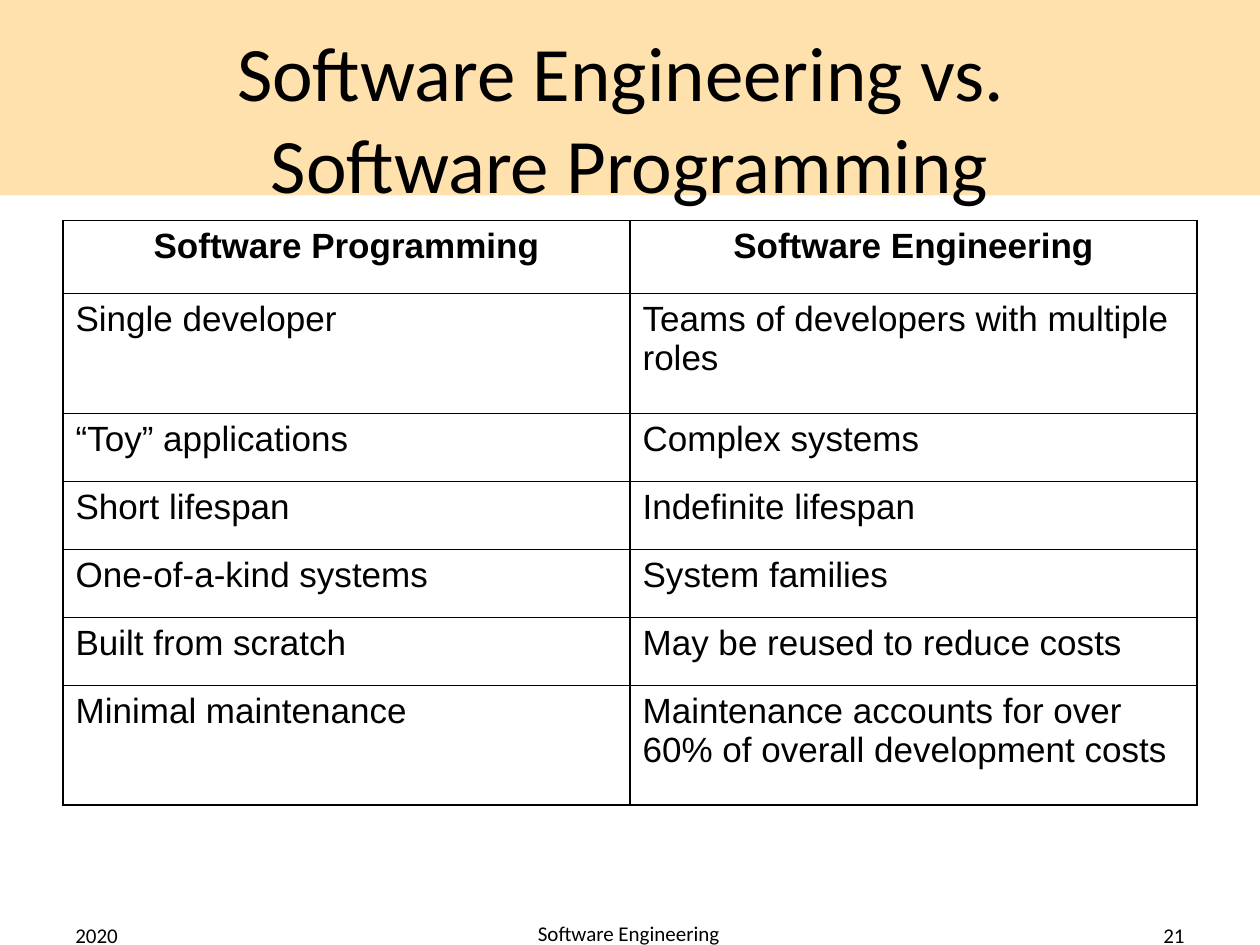
from dataclasses import dataclass

from lxml.etree import SubElement
from pptx import Presentation
from pptx.dml.color import RGBColor
from pptx.enum.shapes import MSO_SHAPE
from pptx.enum.text import MSO_ANCHOR as Anchor, MSO_AUTO_SIZE as AutoSize, PP_ALIGN as Align
from pptx.oxml.ns import qn
from pptx.util import Inches, Pt


@dataclass(frozen=True)
class Theme:
    ink: str = "000000"
    band: str = "FFE1AD"
    heading_font: str = "Calibri"
    table_font: str = "Arial"
    title_size: int = 44
    table_size: int = 20
    footer_size: int = 12
    border_width: int = 1


THEME = Theme()
TITLE = "Software Engineering vs. \vSoftware Programming"
COMPARISON = [
    ("Software Programming", "Software Engineering"),
    ("Single developer", "Teams of developers with multiple roles"),
    ("“Toy” applications", "Complex systems"),
    ("Short lifespan", "Indefinite lifespan"),
    ("One-of-a-kind systems", "System families"),
    ("Built from scratch", "May be reused to reduce costs"),
    ("Minimal maintenance", "Maintenance accounts for over 60% of overall development costs"),
]
HEADER_HEIGHT, SINGLE_HEIGHT, DOUBLE_HEIGHT = 0.58, 0.54, 0.95
ROW_HEIGHTS = [HEADER_HEIGHT, DOUBLE_HEIGHT, *[SINGLE_HEIGHT] * 4, DOUBLE_HEIGHT]
FOOTERS = [
    ("2020", (0.5, 7.22, 2.33, 0.4), Align.LEFT),
    ("Software Engineering", (2.7, 7.24, 4.58, 0.33), Align.CENTER),
    ("21", (7.17, 7.22, 2.33, 0.4), Align.RIGHT),
]


def set_values(target, values):
    for name, value in values.items():
        setattr(target, name, value)


def place(shape, box):
    set_values(shape, dict(zip(("left", "top", "width", "height"), map(Inches, box))))


def write_text(frame, text, font, size, align, bold=False):
    frame.text = text
    set_values(frame, {"word_wrap": True, "auto_size": AutoSize.NONE})
    paragraph = frame.paragraphs[0]
    paragraph.alignment = align
    for run in paragraph.runs:
        set_values(run.font, {"name": font, "size": Pt(size), "bold": bold})
        run.font.color.rgb = RGBColor.from_string(THEME.ink)


def add_band(slide, box):
    band = slide.shapes.add_shape(MSO_SHAPE.RECTANGLE, *map(Inches, box))
    band.shadow.inherit = False
    band.fill.solid()
    band.fill.fore_color.rgb = RGBColor.from_string(THEME.band)
    band.line.fill.background()
    slide.shapes.element.insert(2, band.element)


def add_title(slide, box):
    title = slide.shapes.title
    place(title, box)
    write_text(title.text_frame, TITLE, THEME.heading_font, THEME.title_size, Align.CENTER)
    title.text_frame.vertical_anchor = Anchor.MIDDLE


def add_footer(slide, text, box, align):
    frame = slide.shapes.add_textbox(*map(Inches, box)).text_frame
    write_text(frame, text, THEME.heading_font, THEME.footer_size, align)
    frame.vertical_anchor = Anchor.MIDDLE


def add_borders(cell):
    properties = cell._tc.get_or_add_tcPr()
    for index, side in enumerate(("lnL", "lnR", "lnT", "lnB")):
        line = properties.makeelement(qn(f"a:{side}"), {"w": str(Pt(THEME.border_width))})
        fill = SubElement(line, qn("a:solidFill"))
        SubElement(fill, qn("a:srgbClr"), val=THEME.ink)
        properties.insert(index, line)


def add_comparison(slide, box):
    columns = len(COMPARISON[0])
    frame = slide.shapes.add_table(len(COMPARISON), columns, *map(Inches, box))
    table = frame.table
    set_values(table, {"first_row": False, "horz_banding": False})
    for column in table.columns:
        column.width = Inches(box[2] / columns)
    for row_index, (texts, height) in enumerate(zip(COMPARISON, ROW_HEIGHTS)):
        table.rows[row_index].height = Inches(height)
        header = row_index == 0
        align = Align.CENTER if header else Align.LEFT
        for column_index, text in enumerate(texts):
            cell = table.cell(row_index, column_index)
            cell.fill.background()
            write_text(cell.text_frame, text, THEME.table_font, THEME.table_size, align, header)
            add_borders(cell)


def main():
    presentation = Presentation()
    set_values(presentation, {"slide_width": Inches(10), "slide_height": Inches(7.5)})
    slide = presentation.slides.add_slide(presentation.slide_layouts[5])
    add_band(slide, (0, 0, 10, 1.55))
    add_title(slide, (0.5, 0.3, 9, 1.25))
    for text, box, align in FOOTERS:
        add_footer(slide, text, box, align)
    add_comparison(slide, (0.5, 1.75, 9, sum(ROW_HEIGHTS)))
    presentation.save("out.pptx")


if __name__ == "__main__":
    main()
